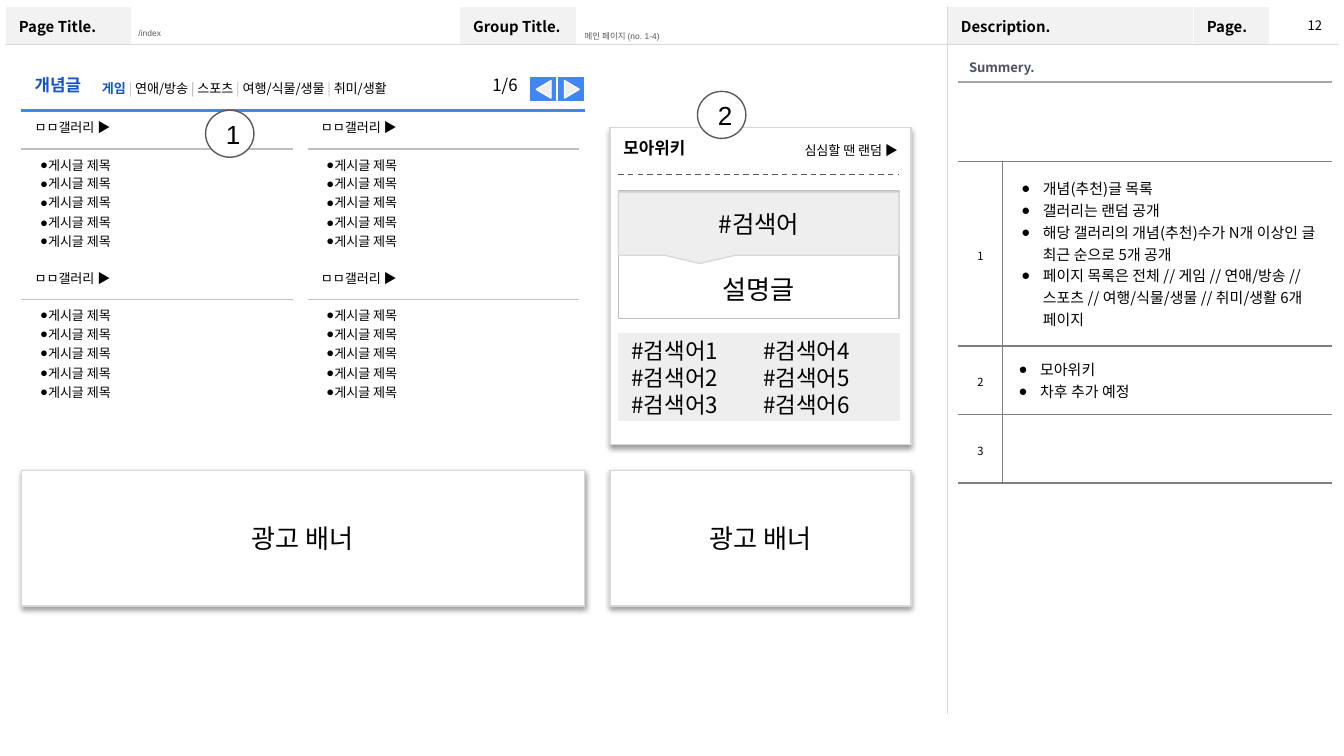
from lxml import etree
from pptx import Presentation
from pptx.dml.color import RGBColor
from pptx.enum.dml import MSO_LINE
from pptx.enum.shapes import MSO_CONNECTOR, MSO_SHAPE
from pptx.enum.text import MSO_ANCHOR, MSO_AUTO_SIZE, PP_ALIGN
from pptx.oxml.ns import qn
from pptx.util import Inches, Pt

COLORS = {
    "white": "FFFFFF", "black": "000000", "header": "F2F2F2", "rule": "D8D8D8",
    "grid": "7F7F7F", "summary": "4E5263", "summary_rule": "A5A5A5", "grey": "595959",
    "soft": "BFBFBF", "panel": "EEEEEE", "blue": "4285F4", "link": "1155CC",
}
SANS = "Noto Sans CJK KR"
LEFT, CENTER, RIGHT = PP_ALIGN.LEFT, PP_ALIGN.CENTER, PP_ALIGN.RIGHT
TOP, MIDDLE, BOTTOM = MSO_ANCHOR.TOP, MSO_ANCHOR.MIDDLE, MSO_ANCHOR.BOTTOM


def write(frame, lines, size, color="black", bold=False, font=SANS, insets=(0.1, 0.1, 0.1, 0.1),
          anchor=TOP, bullet=None, cell=None, **layout):
    """Fill a text frame; a line is a string or a list of (text, color, bold) runs."""
    sides = ("margin_left", "margin_top", "margin_right", "margin_bottom")
    box_format = dict(zip(sides, map(Inches, insets)), vertical_anchor=anchor)
    for name, value in box_format.items():
        setattr(cell or frame, name, value)
    if cell is None:
        frame.word_wrap = True
    for number, line in enumerate(lines):
        paragraph = frame.add_paragraph() if number else frame.paragraphs[0]
        for name, value in layout.items():
            setattr(paragraph, name, value)
        if bullet:
            properties = paragraph._p.get_or_add_pPr()
            properties.set("marL", str(Inches(bullet[0])))
            properties.set("indent", str(Inches(bullet[1])))
            tint = etree.SubElement(properties, qn("a:buClr"))
            etree.SubElement(tint, qn("a:srgbClr"), val=COLORS["black"])
            etree.SubElement(properties, qn("a:buFont"), typeface="Arial")
            etree.SubElement(properties, qn("a:buChar"), char="●")
        for text, tone, weight in [(line, color, bold)] if isinstance(line, str) else line:
            run = paragraph.add_run()
            run.text = text
            run_format = {"size": Pt(size), "bold": weight, "name": font}
            for name, value in run_format.items():
                setattr(run.font, name, value)
            run.font.color.rgb = RGBColor.from_string(COLORS[tone])
            etree.SubElement(run._r.get_or_add_rPr(), qn("a:ea"), typeface=SANS)


def draw(preset, box, fill=None, line=None, width=0.75):
    """Add a preset shape, a straight line (box holds its two ends) or a text box."""
    lengths = [Inches(value) for value in box]
    if preset == "text":
        item = slide.shapes.add_textbox(*lengths)
        item.text_frame.auto_size = MSO_AUTO_SIZE.SHAPE_TO_FIT_TEXT
        return item
    if preset == "line":
        item = slide.shapes.add_connector(MSO_CONNECTOR.STRAIGHT, *lengths)
        etree.SubElement(item._element.spPr, qn("a:effectLst"))
    else:
        item = slide.shapes.add_shape(preset, *lengths)
        item.shadow.inherit = False
        item.fill.solid()
        item.fill.fore_color.rgb = RGBColor.from_string(COLORS[fill])
    item.line.color.rgb = RGBColor.from_string(COLORS[line])
    item.line.width = Pt(width)
    return item


prs = Presentation()
prs.slide_width = Inches(10)
prs.slide_height = prs.slide_width * 9 // 16
slide = prs.slides.add_slide(prs.slide_layouts[4])

# Page frame and description tables: borders are given as left, right, top, bottom
header = {"size": 8, "bold": True, "insets": (0.1, 0.05, 0.1, 0.05), "anchor": MIDDLE}
number = {"size": 6, "insets": (0.08, 0.04, 0.08, 0.04), "anchor": MIDDLE,
          "alignment": CENTER, "line_spacing": 1.2}
notes = {"size": 8, "insets": (0.1, 0.04, 0.1, 0.04), "anchor": MIDDLE, "bullet": (0.2, -0.16)}
summary = {"size": 7, "color": "summary", "bold": True,
           "insets": (0.08, 0.04, 0.08, 0.04), "anchor": MIDDLE}
empty = {"size": 6, "insets": (0.1, 0.05, 0.1, 0.05)}
frame_cells = {
    (0, 0): (["Page Title."], header), (0, 2): (["Group Title."], header),
    (0, 4): (["Description."], header), (0, 5): (["Page."], header),
}
description_cells = {
    (0, 0): (["Summery."], summary),
    (2, 0): (["1"], number), (3, 0): (["2"], number), (4, 0): (["3"], number),
    (2, 1): (["개념(추천)글 목록", "갤러리는 랜덤 공개",
              "해당 갤러리의 개념(추천)수가 N개 이상인 글 최근 순으로 5개 공개",
              "페이지 목록은 전체 // 게임 // 연애/방송 // 스포츠 // 여행/식물/생물 // 취미/생활 6개 페이지"],
             notes),
    (3, 1): (["모아위키", "차후 추가 예정"], {**notes, "insets": (0.08, 0.04, 0.08, 0.04)}),
}
frame_borders = {(row, col): ("rule" if col == 4 else "white", "rule" if col == 3 else "white",
                              "rule" if row else "white", "white" if row else "rule")
                 for row in range(2) for col in range(7)}
frame_borders[1, 0] = ("white", "rule", "rule", "white")
description_borders = {(row, col): ("grid" if col else "white", "white" if col else "grid",
                                    "grid", "grid")
                       for row in range(2, 5) for col in range(2)}
for col in range(2):
    description_borders[0, col] = ("white", "white", "white", "summary_rule")
    description_borders[1, col] = ("white", "white", "summary_rule", "grid")

for left, top, widths, heights, merges, contents, borders in [
    (0.04, 0.05, (0.94, 2.44, 0.87, 2.76, 1.83, 0.57, 0.51), (0.28, 4.99),
     [(1, 0, 3), (1, 4, 6)], frame_cells, frame_borders),
    (7.13, 0.39, (0.33, 2.45), (0.2, 0.59, 1, 0.51, 0.51),
     [(0, 0, 1), (1, 0, 1)], description_cells, description_borders),
]:
    table = slide.shapes.add_table(len(heights), len(widths), Inches(left), Inches(top),
                                   Inches(sum(widths)), Inches(sum(heights))).table
    table.first_row = table.horz_banding = False
    for column, width in zip(table.columns, widths):
        column.width = Inches(width)
    for row, height in zip(table.rows, heights):
        row.height = Inches(height)
    for row, first, last in merges:
        table.cell(row, first).merge(table.cell(row, last))
    for (row, col), edges in borders.items():
        cell = table.cell(row, col)
        lines, style = contents.get((row, col), ([], empty))
        write(cell.text_frame, lines, cell=cell, **style)
        if not lines:
            cell.text_frame.paragraphs[0]._p.get_or_add_endParaRPr().set("sz", "600")
        cell.fill.solid()
        cell.fill.fore_color.rgb = RGBColor.from_string(
            COLORS["header" if style is header else "white"])
        for order, (side, edge) in enumerate(zip("LRTB", edges)):
            border = etree.Element(qn(f"a:ln{side}"), w=str(Pt(0.75)))
            paint = etree.SubElement(border, qn("a:solidFill"))
            etree.SubElement(paint, qn("a:srgbClr"), val=COLORS[edge])
            cell._tc.get_or_add_tcPr().insert(order, border)

# Page path and group name in the body placeholders, raised above the tables; page number
captions = {1: ("/index", (0.96, 0.16, 2.43, 0.18)),
            3: ("메인 페이지 (no. 1-4)", (4.28, 0.18, 2.73, 0.18))}
for holder in list(slide.placeholders):
    if holder.placeholder_format.idx not in captions:
        holder._element.getparent().remove(holder._element)
        continue
    caption, box = captions[holder.placeholder_format.idx]
    for name, value in zip(("left", "top", "width", "height"), box):
        setattr(holder, name, Inches(value))
    holder.text_frame.auto_size = MSO_AUTO_SIZE.NONE
    write(holder.text_frame, [caption], 4.5, "grey", font="Arial", anchor=MIDDLE,
          insets=(0.07, 0.04, 0.07, 0.04), line_spacing=0.95,
          space_before=Pt(0), space_after=Pt(12))
    holder._element.getparent().append(holder._element)
page = draw("text", (9.66, 0.09, 0.28, 0.19))
write(page.text_frame, ["12"], 7, insets=(0.07, 0.04, 0.07, 0.04))

# Shadowed cards: wiki panel and two banners
for box, label in [((4.54, 0.95, 2.24, 2.36), None), ((0.16, 3.5, 4.19, 1.01), "광고 배너"),
                   ((4.54, 3.5, 2.24, 1.01), "광고 배너")]:
    card = draw(MSO_SHAPE.RECTANGLE, box, "white", "rule")
    effects = card._element.spPr.find(qn("a:effectLst"))
    shadow = etree.SubElement(effects, qn("a:outerShdw"), blurRad=str(Pt(3.1)),
                              dist=str(Pt(1.6)), dir="5400000", algn="t", rotWithShape="0")
    shade = etree.SubElement(shadow, qn("a:srgbClr"), val=COLORS["black"])
    etree.SubElement(shade, qn("a:alpha"), val="38000")
    if label:
        write(card.text_frame, [label], 14, insets=(0.07, 0.04, 0.07, 0.04),
              anchor=MIDDLE, alignment=CENTER)

# Best posts bar: heading, category tabs, pager
tabs = [("게임 ", "link", True), ("|", "soft", False), (" 연애/방송", "black", False),
        (" |", "summary_rule", False), (" 스포츠 ", "black", False), ("|", "soft", False),
        (" 여행/식물/생물 ", "black", False), ("|", "soft", False), (" 취미/생활", "black", False)]
write(draw("text", (0.16, 0.48, 0.58, 0.35)).text_frame, ["개념글"], 9, "link", True)
write(draw("text", (0.66, 0.5, 3.19, 0.32)).text_frame, [tabs], 7, anchor=MIDDLE)
write(draw("text", (2.75, 0.48, 1.2, 0.35)).text_frame, ["1/6"], 9, alignment=RIGHT)
draw("line", (0.16, 0.82, 4.35, 0.82), line="blue", width=1.5)
for left, turn in [(3.94, 270), (4.15, 90)]:
    draw(MSO_SHAPE.RECTANGLE, (left, 0.57, 0.2, 0.19), "blue", "white")
    arrow = draw(MSO_SHAPE.ISOSCELES_TRIANGLE, (left + 0.04, 0.61, 0.13, 0.11), "panel", "white")
    arrow.rotation = turn

# Four galleries of five posts
for left in (0.16, 2.29):
    for top in (0.83, 1.95):
        write(draw("text", (left, top, 0.97, 0.32)).text_frame, ["ㅁㅁ갤러리 ▶"], 7)
        draw("line", (left, top + 0.28, left + 2.02, top + 0.28), line="soft")
        for offset in (0, 0.14, 0.28, 0.43, 0.57):
            post = draw("text", (left, top + 0.28 + offset, 0.97, 0.32))
            write(post.text_frame, ["게시글 제목"], 7, bullet=(0.1, -0.06))

# Wiki panel: heading, keyword with explanation, keyword list
write(draw("text", (4.54, 0.95, 1.56, 0.35)).text_frame, ["모아위키"], 9, bold=True)
write(draw("text", (5.58, 0.96, 1.2, 0.32)).text_frame, ["심심할 땐 랜덤 ▶"], 7,
      anchor=MIDDLE, alignment=RIGHT)
draw("line", (4.6, 1.3, 6.69, 1.3), line="grey").line.dash_style = MSO_LINE.DASH
explanation = draw(MSO_SHAPE.RECTANGLE, (4.6, 1.42, 2.09, 0.95), "white", "soft")
write(explanation.text_frame, ["설명글"], 14, font="Arial", anchor=BOTTOM, alignment=CENTER)
keyword = draw(MSO_SHAPE.RECTANGULAR_CALLOUT, (4.6, 1.43, 2.09, 0.47), "panel", "rule")
keyword.adjustments[0], keyword.adjustments[1] = -0.21, 0.63
write(keyword.text_frame, ["#검색어"], 13, anchor=MIDDLE, alignment=CENTER)
draw(MSO_SHAPE.RECTANGLE, (4.6, 2.48, 2.09, 0.65), "panel", "panel")
for left, first in [(4.6, 1), (5.58, 4)]:
    write(draw("text", (left, 2.41, 1.09, 0.81)).text_frame,
          [f"#검색어{rank}" for rank in range(first, first + 3)], 12)

# Numbered markers
for marker, left, top in [("1", 1.53, 0.82), ("2", 5.19, 0.68)]:
    circle = draw(MSO_SHAPE.OVAL, (left, top, 0.36, 0.35), "white", "grey")
    write(circle.text_frame, [marker], 14, font="Arial", anchor=MIDDLE, alignment=LEFT)

prs.save("out.pptx")
